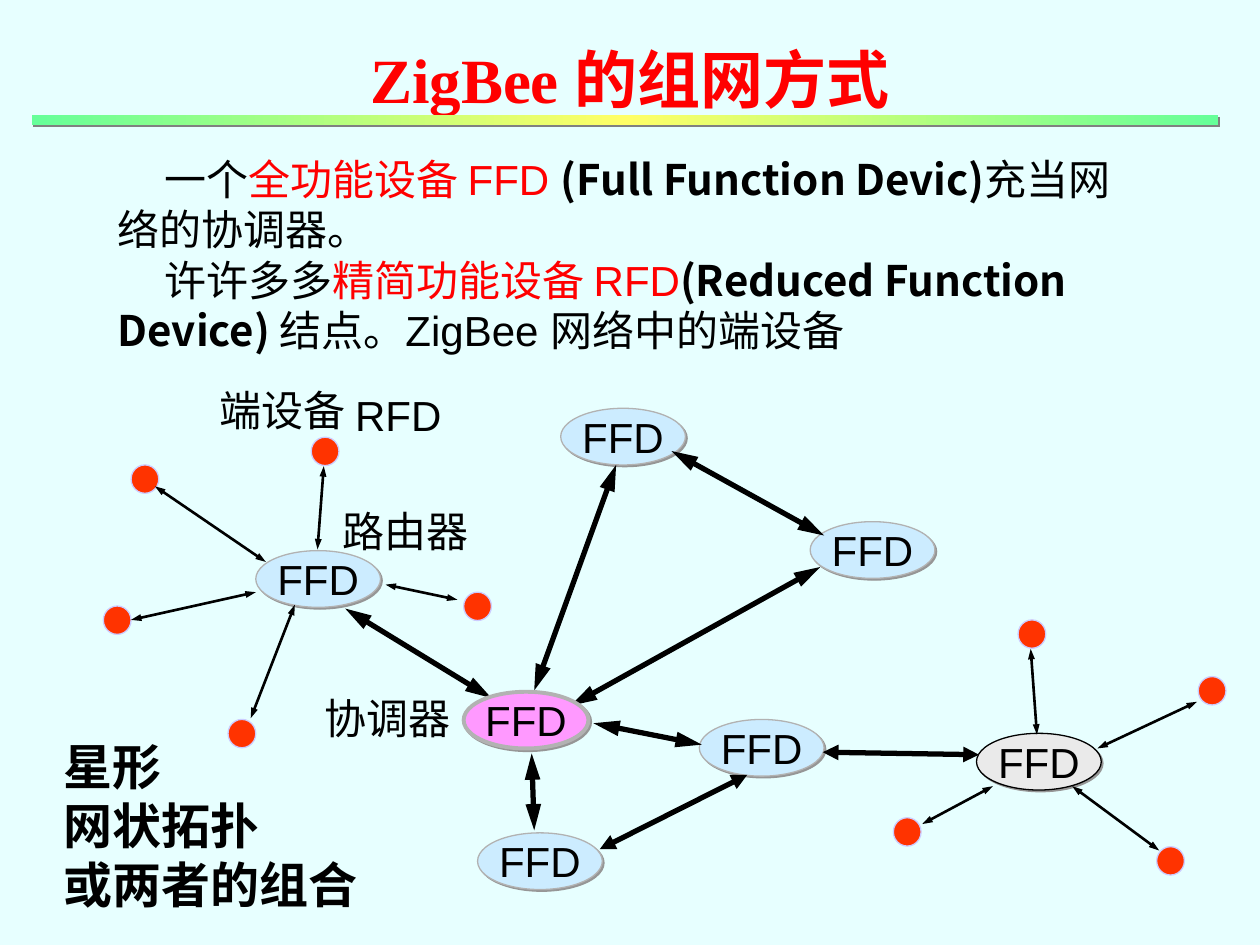
"""Build a slide on how ZigBee devices form star and mesh networks."""
from lxml import etree
from pptx import Presentation
from pptx.dml.color import RGBColor
from pptx.enum.shapes import MSO_CONNECTOR, MSO_SHAPE
from pptx.enum.text import MSO_ANCHOR, PP_ALIGN
from pptx.oxml.ns import qn
from pptx.util import Inches, Pt

OVAL, BAR, STRAIGHT = MSO_SHAPE.OVAL, MSO_SHAPE.RECTANGLE, MSO_CONNECTOR.STRAIGHT
LEFT, CENTER = PP_ALIGN.LEFT, PP_ALIGN.CENTER
TOP, MIDDLE = MSO_ANCHOR.TOP, MSO_ANCHOR.MIDDLE
COLUMNS, ROWS = 100, 75
SANS, SERIF, CJK = "Arial", "Times New Roman", "Noto Sans CJK SC"
COLORS = {
    "background": "E7FFFF", "text": "000000", "accent": "FF0000",
    "end": "FF3300", "end_edge": "CCCCFF",
    "router": "CCECFF", "coordinator": "FF99FF", "remote": "EAEAEA",
    "edge": "B2B2B2", "node_shadow": "969696", "bar_shadow": "808080",
    "green": "66FF99", "yellow": "FFFF66",
}


def rgb(name):
    return RGBColor.from_string(COLORS[name])


def write(paragraph, text, size=24, font=SANS, color="text", bold=False):
    run = paragraph.add_run()
    run.text = text
    run.font.size, run.font.name, run.font.bold = Pt(size), font, bold
    run.font.color.rgb = rgb(color)
    east_asian = etree.SubElement(run.font._element, qn("a:ea"))
    east_asian.set("typeface", CJK)


class NetworkSlide:
    def __init__(self, presentation):
        self.column = presentation.slide_width / COLUMNS
        self.row = presentation.slide_height / ROWS
        self.slide = presentation.slides.add_slide(presentation.slide_layouts[6])
        self.shapes = self.slide.shapes
        fill = self.slide.background.fill
        fill.solid()
        fill.fore_color.rgb = rgb("background")

    def place(self, x, y, *size):
        return [round(value * unit) for value, unit in
                zip((x, y, *size), (self.column, self.row) * 2)]

    def fill_text(self, frame, paragraphs, size, align=LEFT, anchor=TOP, wrap=False, indent=0):
        frame.word_wrap, frame.vertical_anchor = wrap, anchor
        for index, runs in enumerate(paragraphs):
            paragraph = frame.paragraphs[0] if index == 0 else frame.add_paragraph()
            paragraph.alignment = align
            paragraph.line_spacing = Pt(1.2 * size)
            if indent:
                paragraph._p.get_or_add_pPr().set("indent", str(round(indent * self.column)))
            for text, style in runs:
                write(paragraph, text, size=size, **style)

    def text(self, box, paragraphs, size=24, **layout):
        frame = self.shapes.add_textbox(*self.place(*box)).text_frame
        self.fill_text(frame, paragraphs, size, **layout)

    def shape(self, kind, box, fill=None, edge=None, weight=0.75, shadow=None):
        shape = self.shapes.add_shape(kind, *self.place(*box))
        shape.shadow.inherit = False
        if fill:
            shape.fill.solid()
            shape.fill.fore_color.rgb = rgb(fill)
        if edge:
            shape.line.color.rgb = rgb(edge)
            shape.line.width = Pt(weight)
        else:
            shape.line.fill.background()
        if shadow:
            effects = shape._element.spPr.find(qn("a:effectLst"))
            outer = etree.SubElement(effects, qn("a:outerShdw"), dist=str(Pt(1.4)),
                                     dir="2700000", algn="ctr", rotWithShape="0")
            etree.SubElement(outer, qn("a:srgbClr"), val=COLORS[shadow])
        return shape

    def end_device(self, x, y):
        self.shape(OVAL, (x, y, 2.2, 2.25), "end", "end_edge")

    def node(self, x, y, fill="router", edge="edge", weight=0.75):
        oval = self.shape(OVAL, (x, y, 9.9, 4.5), fill, edge, weight, "node_shadow")
        self.fill_text(oval.text_frame, [[("FFD", {})]], 24, align=CENTER, anchor=MIDDLE)

    def bar(self, box):
        bar = self.shape(BAR, box, shadow="bar_shadow")
        bar.fill.gradient()
        bar.fill.gradient_angle = 0
        stops = bar._element.spPr.find(qn("a:gradFill")).find(qn("a:gsLst"))
        for stop in list(stops):
            stops.remove(stop)
        for position, color in ((0, "green"), (50000, "yellow"), (100000, "green")):
            stop = etree.SubElement(stops, qn("a:gs"), pos=str(position))
            etree.SubElement(stop, qn("a:srgbClr"), val=COLORS[color])

    def link(self, start, end, weight, width, length):
        link = self.shapes.add_connector(STRAIGHT, *self.place(*start), *self.place(*end))
        link.line.color.rgb = rgb("text")
        link.line.width = Pt(weight)
        for tip in ("a:headEnd", "a:tailEnd"):
            etree.SubElement(link.line._get_or_add_ln(), qn(tip),
                             type="triangle", w=width, len=length)
        etree.SubElement(link._element.spPr, qn("a:effectLst"))


END_DEVICES = [(24.7, 34.7), (91.8, 67.2), (70.9, 64.9), (95.1, 53.7), (80.8, 49.2),
               (10.4, 36.9), (8.2, 48.1), (18.1, 57.1), (36.8, 47)]
ROUTERS = [(20.3, 43.7), (37.9, 66.1), (64.3, 41.4), (44.5, 32.4), (55.5, 57.1)]
MESH_LINKS = [
    ((48.9, 36.9), (42.4, 54.8)), ((27.4, 48.3), (39, 55.4)),
    ((53.3, 35.8), (65.4, 42.5)), ((65.1, 45), (45.3, 56)),
    ((42.2, 59.8), (42.4, 65.9)), ((55.7, 59.1), (47.1, 57.4)),
]
BRANCH_LINKS = [((77.7, 59.9), (65.3, 59.7)), ((59.3, 61.5), (47.6, 67.4))]
STAR_LINKS = [
    ((12.3, 38.6), (21.1, 44.6)), ((30.6, 46.4), (36.3, 47.6)),
    ((25.7, 37), (25.2, 43.6)), ((10.4, 49.2), (20.3, 47)),
    ((95, 55.7), (87.1, 59.4)), ((81.8, 51.5), (82.3, 58.3)),
    ((23.4, 48), (19.9, 57)), ((85.1, 62.4), (92, 67.5)),
    ((78.8, 62.4), (73.2, 65.4)),
]
LABELS = [("RFD", 27.2, 30.4, 10), ("端设备", 16.4, 30, 12.2),
          ("路由器", 26.2, 39.6, 12.2), ("协调器", 24.8, 54.5, 12.2)]
RED, STRONG = {"color": "accent"}, {"font": CJK, "bold": True}
HEADING = {"font": SERIF, "bold": True}
INTRODUCTION = [
    [("一个", {}), ("全功能设备 FFD ", RED), ("(Full Function Devic)", STRONG),
     ("充当网络的协调器。", {})],
    [("许许多多", {}), ("精简功能设备 RFD", RED), ("(Reduced Function Device) ", STRONG),
     ("结点。ZigBee 网络中的端设备", {})],
]
TOPOLOGIES = ["星形", "网状拓扑", "或两者的组合"]


def main():
    presentation = Presentation()
    presentation.slide_width, presentation.slide_height = Inches(10), Inches(7.5)
    network = NetworkSlide(presentation)
    network.text((7.5, 1.6, 85, 9.2), [[("ZigBee 的组网方式", {**HEADING, **RED})]],
                 size=36, align=CENTER, anchor=MIDDLE, wrap=True)
    for position in END_DEVICES:
        network.end_device(*position)
    for position in ROUTERS:
        network.node(*position)
    network.node(77.5, 58.2, fill="remote", edge="text")
    for links, weight, width, length in ((MESH_LINKS, 3, "med", "lg"),
                                         (BRANCH_LINKS, 3, "med", "med"),
                                         (STAR_LINKS, 1.5, "sm", "med")):
        for start, end in links:
            network.link(start, end, weight, width, length)
    network.node(36.8, 54.9, fill="coordinator", weight=2.25)
    for label, x, y, width in LABELS:
        network.text((x, y, width, 5), [[(label, {})]])
    network.text((8.35, 11.7, 83.1, 17), INTRODUCTION, wrap=True, indent=3.7)
    network.bar((2.5, 9.15, 94.2, 0.8))
    network.text((4.1, 58, 25.3, 15), [[(name, HEADING)] for name in TOPOLOGIES], size=28)
    presentation.save("out.pptx")


if __name__ == "__main__":
    main()
